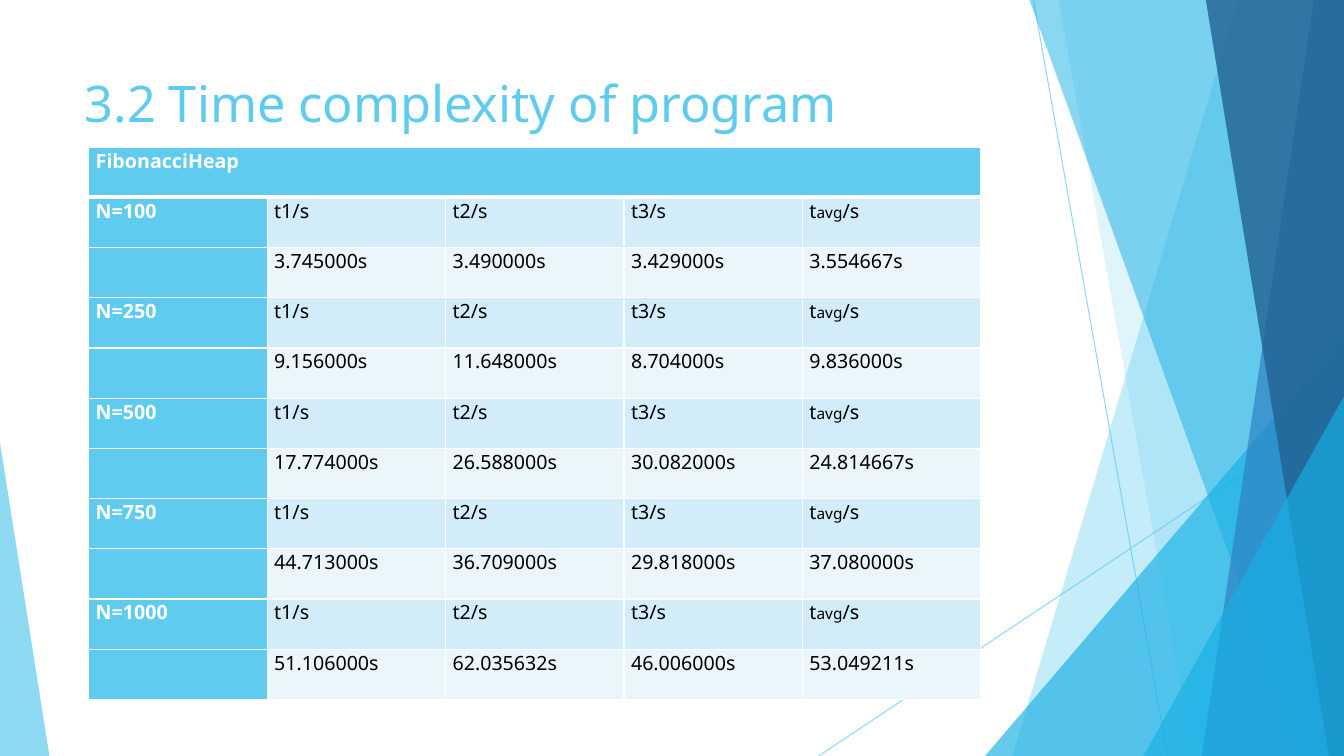
from lxml.etree import SubElement
from pptx import Presentation
from pptx.dml.color import RGBColor
from pptx.enum.shapes import MSO_CONNECTOR, MSO_SHAPE
from pptx.enum.text import MSO_ANCHOR, PP_ALIGN
from pptx.oxml.ns import qn
from pptx.util import Inches, Pt

FONT = "Noto Sans"
SKY = RGBColor(0x5F, 0xCB, 0xEF)
CYAN = RGBColor(0x17, 0xB0, 0xE4)
BLUE = RGBColor(0x2E, 0x83, 0xC3)
NAVY = RGBColor(0x22, 0x62, 0x92)
BAND_DARK = RGBColor(0xD2, 0xEC, 0xF9)
BAND_LIGHT = RGBColor(0xEA, 0xF6, 0xFC)
WHITE = RGBColor(0xFF, 0xFF, 0xFF)
BLACK = RGBColor(0, 0, 0)

HEADINGS = ["t1/s", "t2/s", "t3/s", ("t", "avg", "/s")]
TIMINGS = {
    "N=100": ["3.745000s", "3.490000s", "3.429000s", "3.554667s"],
    "N=250": ["9.156000s", "11.648000s", "8.704000s", "9.836000s"],
    "N=500": ["17.774000s", "26.588000s", "30.082000s", "24.814667s"],
    "N=750": ["44.713000s", "36.709000s", "29.818000s", "37.080000s"],
    "N=1000": ["51.106000s", "62.035632s", "46.006000s", "53.049211s"],
}


def set_opacity(shape, percent):
    """Make the solid colour of a shape's fill or line see-through."""
    color = next(shape.element.spPr.iter(qn("a:srgbClr")))
    SubElement(color, qn("a:alpha"), val=str(percent * 1000))


def paint(shape, color, opacity):
    """Give a shape a flat translucent fill with no outline."""
    shape.shadow.inherit = False
    shape.line.fill.background()
    shape.fill.solid()
    shape.fill.fore_color.rgb = color
    set_opacity(shape, opacity)


def add_ray(page, start, end):
    """Draw one thin translucent line between two points in inches."""
    points = [Inches(value) for value in (*start, *end)]
    ray = page.shapes.add_connector(MSO_CONNECTOR.STRAIGHT, *points)
    ray.line.color.rgb = SKY
    ray.line.width = Pt(0.75)
    set_opacity(ray, 70)
    SubElement(ray.element.spPr, qn("a:effectLst"))


def add_facet(page, box, top_x, bottom_x, color, opacity):
    """Draw a full-height facet from a slanted left edge to the box's right."""
    left, top, width, height = box
    right, bottom = left + width, top + height
    corners = [(left + top_x, top), (right, top), (right, bottom),
               (left + bottom_x, bottom)]
    start, *others = [(Inches(x), Inches(y)) for x, y in corners]
    builder = page.shapes.build_freeform(*start)
    builder.add_line_segments(others, close=True)
    paint(builder.convert_to_shape(), color, opacity)


def add_corner(page, box, apex, color, opacity):
    """Fill a box with a right triangle, its apex at 0 (left) or 1 (right)."""
    corner = page.shapes.add_shape(MSO_SHAPE.ISOSCELES_TRIANGLE,
                                   *[Inches(value) for value in box])
    corner.adjustments[0] = apex
    paint(corner, color, opacity)


def add_right_facets(page, box):
    """Layer the rays, facets and corners of the right-hand decoration."""
    left, top, width, height = box
    right, bottom = left + width, top + height

    def rising_corner(x, y):
        """Add a corner from an offset to the box's lower right."""
        add_corner(page, (left + x, top + y, width - x, height - y),
                   1, CYAN, 66)

    add_ray(page, (left + 2.13, top), (left + 3.46, bottom))
    add_ray(page, (right, top + 4.03), (left, bottom))
    add_facet(page, box, 4.16, 1.92, SKY, 36)
    add_facet(page, box, 2.38, 3.71, SKY, 20)
    rising_corner(1.65, 3.33)
    add_facet(page, box, 2.09, 4.79, CYAN, 50)
    add_facet(page, box, 4.91, 3.8, BLUE, 70)
    add_facet(page, box, 3.84, 5.06, NAVY, 80)
    rising_corner(3.22, 3.93)


def add_title(page, box, text):
    """Place the slide title above the decoration."""
    title = page.shapes.title
    page.shapes.element.append(title.element)
    title.left, title.top, title.width, title.height = map(Inches, box)
    frame = title.text_frame
    frame.text = text
    frame.vertical_anchor = MSO_ANCHOR.TOP
    para = frame.paragraphs[0]
    para.alignment = PP_ALIGN.LEFT
    para.font.name, para.font.size = FONT, Pt(36)
    para.font.color.rgb = SKY


def set_borders(cell, **widths):
    """Draw white cell borders, 1 pt unless a side is given a width."""
    properties = cell._tc.get_or_add_tcPr()
    for side in "LRTB":
        width = Pt(widths.get(side, 1))
        line = SubElement(properties, qn(f"a:ln{side}"), w=str(width))
        fill = SubElement(line, qn("a:solidFill"))
        SubElement(fill, qn("a:srgbClr"), val=str(WHITE))


def fill_cell(cell, content, fill, color, bold):
    """Write text, or (base, subscript, rest) parts, into a coloured cell."""
    cell.margin_left = cell.margin_right = Inches(0.07)
    cell.margin_top = cell.margin_bottom = 0
    cell.fill.solid()
    cell.fill.fore_color.rgb = fill
    para = cell.text_frame.paragraphs[0]
    para.alignment = PP_ALIGN.JUSTIFY
    para.space_after = Pt(6)
    para.font.name, para.font.size = FONT, Pt(14)
    para.font.bold = bold
    para.font.color.rgb = color
    parts = (content,) if isinstance(content, str) else content
    for index, part in enumerate(parts):
        if part:
            span = para.add_run()
            span.text = part
            if index == 1:
                span.font.size = Pt(11)


def add_timing_table(page, box, heading):
    """Build the timing table: a heading, then two rows for each N."""
    rows = [[heading, "", "", "", ""]]
    for size, times in TIMINGS.items():
        rows += [[size, *HEADINGS], ["", *times]]
    frame = page.shapes.add_table(len(rows), len(rows[0]), *map(Inches, box))
    table = frame.table
    table.first_row = table.horz_banding = False
    for row_index, row in enumerate(rows):
        band = BAND_DARK if row_index % 2 else BAND_LIGHT
        for column_index, content in enumerate(row):
            cell = table.cell(row_index, column_index)
            header = row_index == 0 or column_index == 0
            set_borders(cell, T=3 if row_index == 1 else 1,
                        B=3 if row_index == 0 else 1)
            fill_cell(cell, content, SKY if header else band,
                      WHITE if header else BLACK, header)
    table.cell(0, 0).merge(table.cell(0, len(rows[0]) - 1))


def add_timing_slide(deck):
    """Compose the time complexity slide."""
    page = deck.slides.add_slide(deck.slide_layouts[5])
    add_right_facets(page, (8.12, 0, 5.21, 7.5))
    add_corner(page, (0, 4.39, 0.49, 3.11), 0, SKY, 70)
    add_title(page, (0.74, 0.67, 9.4, 1.44), "3.2 Time complexity of program")
    add_timing_table(page, (0.88, 1.46, 8.85, 5.48), "FibonacciHeap")


deck = Presentation()
deck.slide_width, deck.slide_height = Inches(13.33), Inches(7.5)
add_timing_slide(deck)
deck.save("out.pptx")
